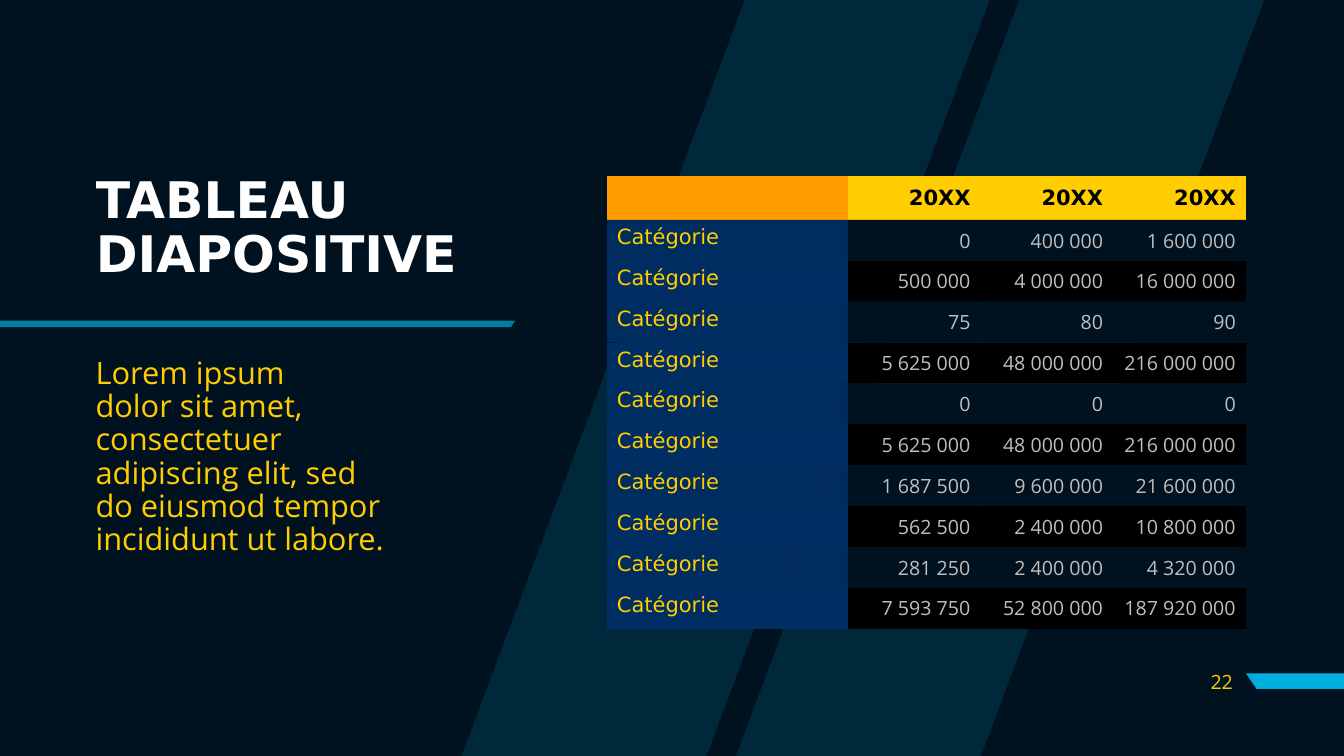
from lxml import etree
from pptx import Presentation
from pptx.dml.color import RGBColor
from pptx.enum.text import MSO_ANCHOR, MSO_AUTO_SIZE, PP_ALIGN
from pptx.oxml.ns import qn
from pptx.util import Pt

LEFT, RIGHT = PP_ALIGN.LEFT, PP_ALIGN.RIGHT
TOP, MIDDLE = MSO_ANCHOR.TOP, MSO_ANCHOR.MIDDLE
NO_FIT = MSO_AUTO_SIZE.NONE

WIDTH, HEIGHT = 960, 540
TITLE_ONLY = 5
PLAIN_TABLE = "{2D5ABB26-0587-4C30-8999-92F81FD0307C}"
HEADING_FONT, BODY_FONT = "DejaVu Sans", "Open Sans"
COLORS = {
    "night": "00111F", "navy": "002E62", "black": "000000", "white": "FFFFFF",
    "cyan": "00AEDE", "yellow": "FFCD00", "orange": "FF9D00", "grey": "BFBFBF",
}

YEARS = ["20XX", "20XX", "20XX"]
CATEGORY = "Catégorie"
AMOUNTS = [
    (0, 400000, 1600000),
    (500000, 4000000, 16000000),
    (75, 80, 90),
    (5625000, 48000000, 216000000),
    (0, 0, 0),
    (5625000, 48000000, 216000000),
    (1687500, 9600000, 21600000),
    (562500, 2400000, 10800000),
    (281250, 2400000, 4320000),
    (7593750, 52800000, 187920000),
]


def french_number(amount):
    """Group thousands with a non-breaking space."""
    return f"{amount:,}".replace(",", chr(160))


class Page:
    def __init__(self, deck):
        self.slide = deck.slides.add_slide(deck.slide_layouts[TITLE_ONLY])
        self.shapes = self.slide.shapes
        self.paint(self.slide.background.fill, "night")

    def paint(self, fill, color, opacity=100):
        fill.solid()
        fill.fore_color.rgb = RGBColor.from_string(COLORS[color])
        if opacity < 100:
            tint = fill._xPr.find(qn("a:solidFill"))[0]
            etree.SubElement(tint, qn("a:alpha"), val=str(opacity * 1000))

    def fill_text(self, frame, text, size, font, color, bold=False, align=LEFT,
                  spacing=None, before=None):
        frame.text = text
        for para in frame.paragraphs:
            para.alignment = align
            para.line_spacing = spacing
            para.space_before = before
            for span in para.runs:
                span.font.size = Pt(size)
                span.font.name = font
                span.font.bold = bold
                span.font.color.rgb = RGBColor.from_string(COLORS[color])

    def outline(self, contours, color, opacity=100):
        builder = None
        for contour in contours:
            start, *others = [(Pt(x), Pt(y)) for x, y in contour]
            if builder is None:
                builder = self.shapes.build_freeform(*start)
            else:
                builder.move_to(*start)
            builder.add_line_segments(others, close=True)
        shape = builder.convert_to_shape()
        shape.shadow.inherit = False
        shape.line.fill.background()
        self.paint(shape.fill, color, opacity)

    def frame(self, box, anchor):
        frame = box.text_frame
        frame.word_wrap = True
        frame.auto_size = NO_FIT
        frame.vertical_anchor = anchor
        return frame

    def title(self, place, text, **style):
        box = self.shapes.title
        box.left, box.top, box.width, box.height = map(Pt, place)
        self.fill_text(self.frame(box, MIDDLE), text, **style)

    def text(self, place, text, anchor=TOP, **style):
        box = self.shapes.add_textbox(*map(Pt, place))
        self.fill_text(self.frame(box, anchor), text, **style)

    def cell(self, cell, fill, opacity=100, text="", anchor=MIDDLE, **style):
        self.paint(cell.fill, fill, opacity)
        cell.vertical_anchor = anchor
        if text:
            self.fill_text(cell.text_frame, text, **style)

    def table(self, left, top, widths, header_height, row_height):
        height = header_height + row_height * len(AMOUNTS)
        holder = self.shapes.add_table(
            len(AMOUNTS) + 1, len(widths), Pt(left), Pt(top), Pt(sum(widths)), Pt(height))
        table = holder.table
        holder._element.find(".//" + qn("a:tableStyleId")).text = PLAIN_TABLE
        for column, width in zip(table.columns, widths):
            column.width = Pt(width)
        for index, row in enumerate(table.rows):
            row.height = Pt(row_height if index else header_height)

        # Header row
        heading = {"size": 15, "font": HEADING_FONT}
        self.cell(table.cell(0, 0), "orange")
        for column, year in enumerate(YEARS, 1):
            self.cell(table.cell(0, column), "yellow", text=year, color="black",
                      bold=True, align=RIGHT, **heading)

        # Category rows, alternately tinted and solid
        for row, amounts in enumerate(AMOUNTS, 1):
            fill, opacity = ("night", 95) if row % 2 else ("black", 100)
            self.cell(table.cell(row, 0), "navy", opacity, CATEGORY, TOP,
                      color="yellow", **heading)
            for column, amount in enumerate(amounts, 1):
                self.cell(table.cell(row, column), fill, opacity, french_number(amount),
                          size=14, font=BODY_FONT, color="grey", align=RIGHT)


def main():
    deck = Presentation()
    deck.slide_width, deck.slide_height = Pt(WIDTH), Pt(HEIGHT)
    page = Page(deck)

    # Slanted background bands
    slant, band = 202.3, 175
    bands = [[(x, 0), (x + band, 0), (x + band - slant, HEIGHT), (x - slant, HEIGHT)]
             for x in (728, 532)]
    page.outline(bands, "cyan", 15)

    # Page number marker and title rule
    page.outline([[(WIDTH, 481), (WIDTH, 492), (897.5, 492), (890, 481)]], "cyan")
    page.outline([[(0, 229), (0, 233.7), (365, 233.7), (368, 229)]], "cyan", 70)

    # Title and introduction
    page.title((61.2, 103.7, 298, 120.2), "TABLEAU\vDIAPOSITIVE", size=36,
               font=HEADING_FONT, color="white", bold=True, spacing=0.9)
    page.text((61.2, 252, 222.5, 170),
              "Lorem ipsum\vdolor sit amet, consectetuer adipiscing elit, sed\v"
              "do eiusmod tempor incididunt ut labore.",
              size=22, font=BODY_FONT, color="yellow", spacing=0.9, before=Pt(10))

    # Figures by category
    page.table(433.5, 125.6, [172.2, 94.75, 94.75, 94.75], 31.5, 29.2)

    # Page number
    page.text((844.6, 472.3, 43.2, 28.8), "22", MIDDLE, size=14,
              font=BODY_FONT, color="yellow", align=RIGHT)

    deck.save("out.pptx")


if __name__ == "__main__":
    main()
